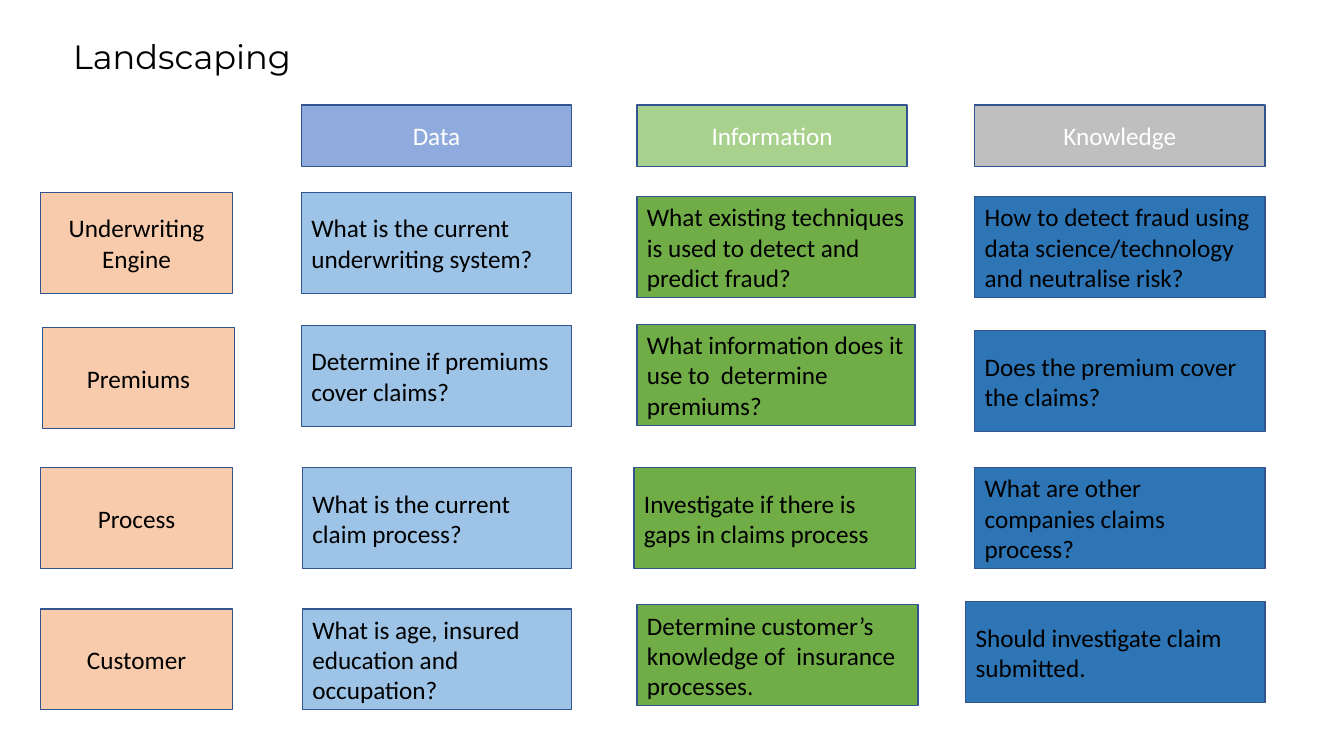
from pptx import Presentation
from pptx.dml.color import RGBColor
from pptx.enum.shapes import MSO_SHAPE
from pptx.enum.text import MSO_ANCHOR, PP_ALIGN
from pptx.util import Pt

RECT = MSO_SHAPE.RECTANGLE
MIDDLE, BOTTOM = MSO_ANCHOR.MIDDLE, MSO_ANCHOR.BOTTOM
LEFT, CENTER = PP_ALIGN.LEFT, PP_ALIGN.CENTER

THEME = {
    "title": {"name": "Montserrat", "size": Pt(24), "color": "000000"},
    "body": {"name": "Calibri", "size": Pt(18), "color": "000000"},
    "header": {"name": "Calibri", "size": Pt(18), "color": "FFFFFF"},
    "outline": "325491",
    "topic": "F8CBAD",
    "data": "9DC3E6", "data_header": "8FAADC",
    "information": "70AD47", "information_header": "A9D18E",
    "knowledge": "2E75B6", "knowledge_header": "BFBFBF",
}
HEADER_TOP, HEADER_H, CELL_H = 74.9, 43.9, 72

# Headers: text, theme key, left, width
HEADERS = [
    ("Data", "data_header", 215.3, 193),
    ("Information", "information_header", 455, 193),
    ("Knowledge", "knowledge_header", 696.2, 207.4),
]
# Columns: theme key, alignment, cells of (text, left, top, width)
COLUMNS = [
    ("topic", CENTER, [
        ("Underwriting Engine", 28.8, 137.5, 137.5),
        ("Premiums", 30.2, 234, 137.5),
        ("Process", 28.8, 334.1, 137.5),
        ("Customer", 28.8, 434.9, 137.5)]),
    ("data", LEFT, [
        ("What is the current underwriting system?", 215.3, 137.5, 193),
        ("Determine if premiums cover claims?", 215.3, 232.6, 193),
        ("What is the current claim process?", 216, 334.1, 192.2),
        ("What is age, insured  education and occupation?", 216, 434.9, 192.2)]),
    ("information", LEFT, [
        ("What existing techniques is used to detect and predict fraud?", 455, 140.4, 198.7),
        ("What information does it use to  determine premiums?", 455, 231.8, 198.7),
        ("Investigate if there is gaps in claims process", 452.9, 334.1, 200.9),
        ("Determine customer’s knowledge of  insurance processes.", 455, 432, 200.9)]),
    ("knowledge", LEFT, [
        ("How to detect fraud using data science/technology and neutralise risk?",
         696.2, 140.4, 207.4),
        ("Does the premium cover the claims?", 696.2, 236.2, 207.4),
        ("What are other companies claims process?", 696.2, 334.1, 207.4),
        ("Should investigate claim submitted.", 689.8, 429.8, 213.8)]),
]


def write(sp, text, style, align, anchor):
    """Put one styled paragraph in a shape and return the paragraph."""
    tf = sp.text_frame
    tf.word_wrap = True
    tf.vertical_anchor = anchor
    p = tf.paragraphs[0]
    p.alignment = align
    r = p.add_run()
    r.text = text
    for key, value in THEME[style].items():
        if key == "color":
            r.font.color.rgb = RGBColor.from_string(value)
        else:
            setattr(r.font, key, value)
    return p


def add_box(box, text, fill, style, align):
    """Draw an outlined rectangle with text; box is left, top, width, height."""
    sp = slide.shapes.add_shape(RECT, *map(Pt, box))
    sp.shadow.inherit = False
    sp.fill.solid()
    sp.fill.fore_color.rgb = RGBColor.from_string(THEME[fill])
    sp.line.color.rgb = RGBColor.from_string(THEME["outline"])
    sp.line.width = Pt(1)
    write(sp, text, style, align, MIDDLE)


prs = Presentation()
prs.slide_width, prs.slide_height = Pt(960), Pt(540)
slide = prs.slides.add_slide(prs.slide_layouts[6])

title = slide.shapes.add_textbox(Pt(20.2), Pt(22.3), Pt(219.6), Pt(36))
write(title, "Landscaping", "title", CENTER, BOTTOM).line_spacing = 0.9

for text, fill, left, width in HEADERS:
    add_box((left, HEADER_TOP, width, HEADER_H), text, fill, "header", CENTER)

for fill, align, cells in COLUMNS:
    for text, left, top, width in cells:
        add_box((left, top, width, CELL_H), text, fill, "body", align)

prs.save("out.pptx")
